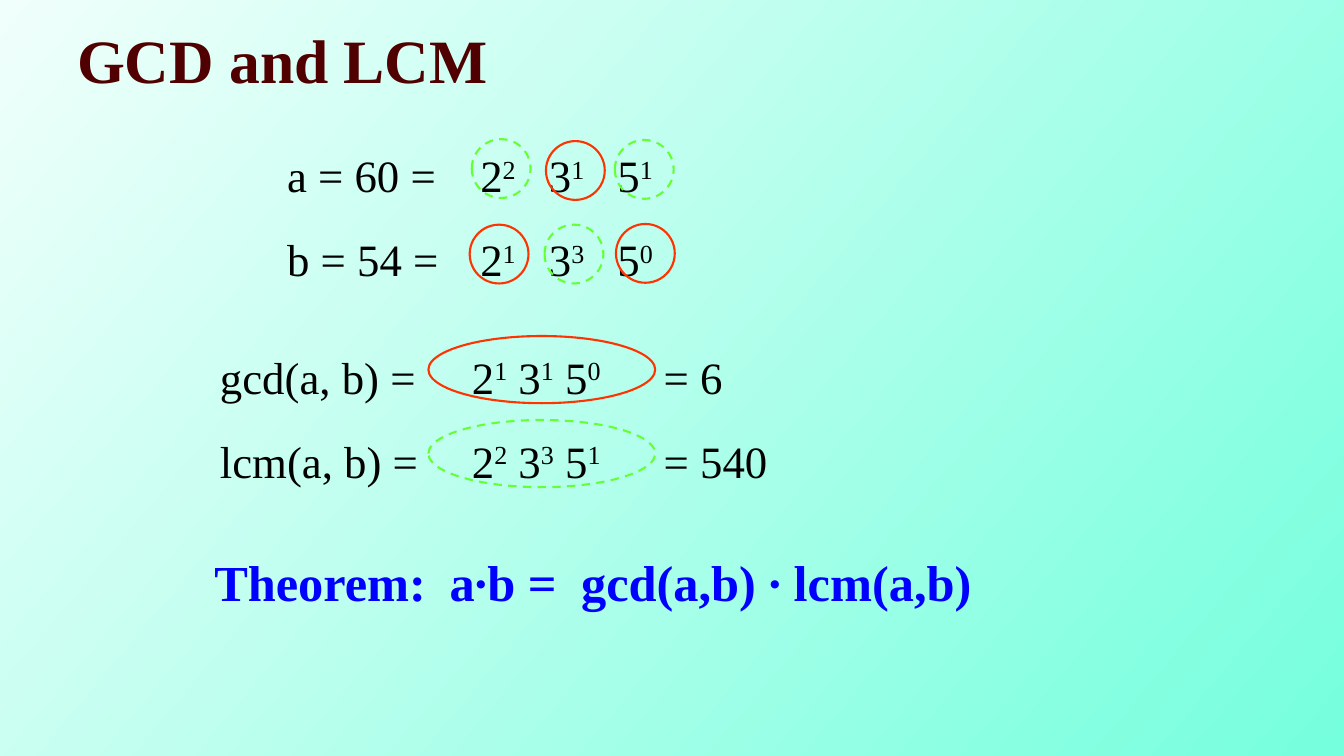
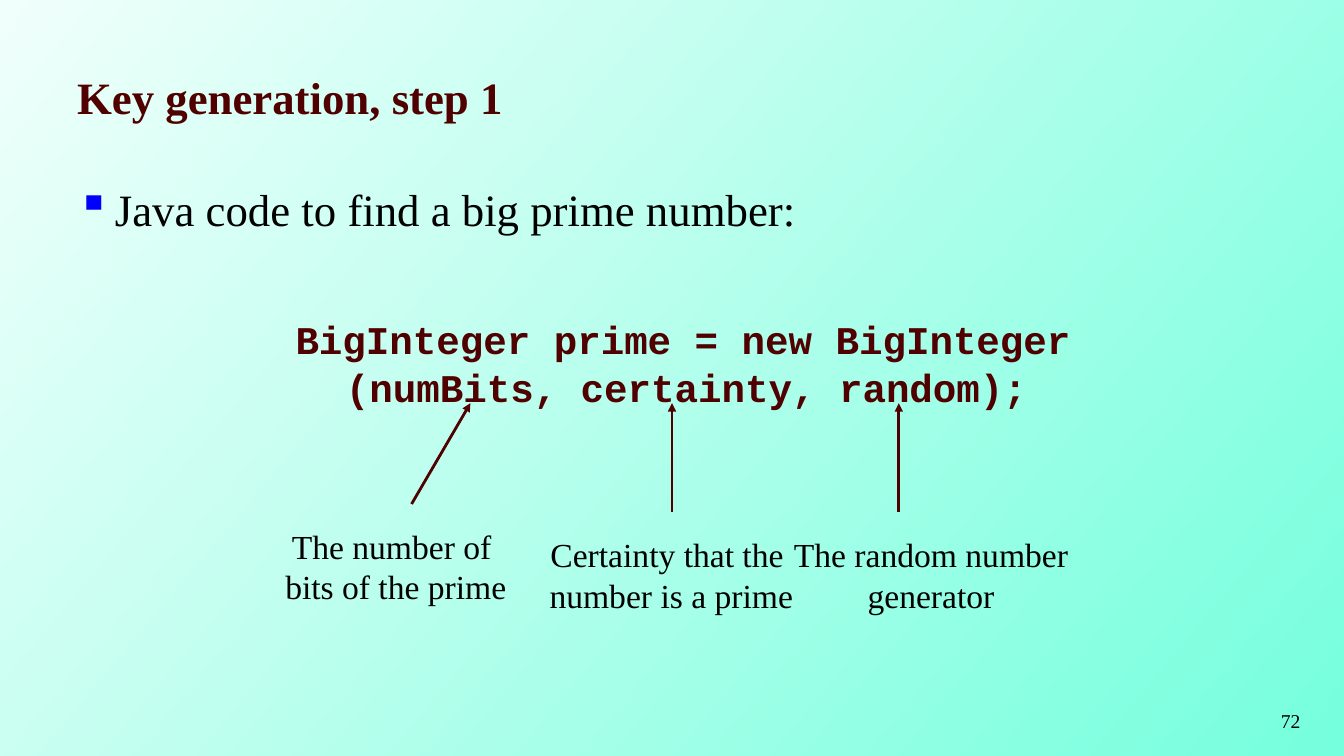
"""Build two slides on greatest common divisors and prime key generation."""
from lxml import etree
from pptx import Presentation
from pptx.dml.color import RGBColor
from pptx.enum.dml import MSO_LINE
from pptx.enum.shapes import MSO_CONNECTOR, MSO_SHAPE
from pptx.enum.text import MSO_ANCHOR, PP_ALIGN
from pptx.oxml.ns import qn
from pptx.util import Pt

OVAL = MSO_SHAPE.OVAL
STRAIGHT = MSO_CONNECTOR.STRAIGHT
DASH = MSO_LINE.DASH
MIDDLE = MSO_ANCHOR.MIDDLE
TOP = MSO_ANCHOR.TOP
LEFT, CENTER, RIGHT = PP_ALIGN.LEFT, PP_ALIGN.CENTER, PP_ALIGN.RIGHT

MAROON = RGBColor(0x50, 0x00, 0x00)
BLACK = RGBColor(0x00, 0x00, 0x00)
BLUE = RGBColor(0x00, 0x00, 0xFF)
RED = RGBColor(0xFF, 0x33, 0x00)
GREEN = RGBColor(0x66, 0xFF, 0x33)
BACKGROUND = (RGBColor(0xF0, 0xFF, 0xFB), RGBColor(0x75, 0xFF, 0xDD))
SERIF = "Times New Roman"
MONO = "Courier New"

FACTOR_TABS = (49, 98)
RESULT_TABS = (137,)
EQUATIONS = [
    (102, 198, "a = 60 =", 336, "2^2\t3^1\t5^1", FACTOR_TABS),
    (162, 198, "b = 54 =", 336, "2^1\t3^3\t5^0", FACTOR_TABS),
    (246, 150, "gcd(a, b) =", 330, "2^1 3^1 5^0\t= 6", RESULT_TABS),
    (306, 150, "lcm(a, b) =", 330, "2^2 3^3 5^1\t= 540", RESULT_TABS),
]
CIRCLE = 42
GCD_CIRCLES = [(335.5, 160.5), (390, 100.8), (440, 160)]
LCM_CIRCLES = [(337, 99.4), (389, 160.5), (439.2, 100)]
RESULT_OVALS = [(240, RED, None), (300, GREEN, DASH)]
THEOREM = [(146, 268, "Theorem:\ta∙b =", (168,)), (408, 318, "gcd(a,b) ∙ lcm(a,b)", ())]

CODE = ["BigInteger prime = new BigInteger", "\t(numBits, certainty, random);"]
ARGUMENTS = [
    (196, 372, 173.5, ["The number of ", "bits of the prime"]),
    (384.5, 378, 190, ["Certainty that the ", "number is a prime"]),
    (559, 378, 212, ["The random number", "generator"]),
]
ARROWS = [((294, 360), (336, 288)), ((480, 366), (480, 288)), ((642, 366), (642, 288))]


def add_text(slide, box, lines, *, size=32, color=BLACK, font=SERIF, bold=False,
             align=LEFT, anchor=TOP, wrap=True, tabs=(), bullet=None):
    """Add a text box; the character after each ^ is raised."""
    frame = slide.shapes.add_textbox(*map(Pt, box)).text_frame
    frame.word_wrap = wrap
    frame.vertical_anchor = anchor
    for index, line in enumerate(lines):
        paragraph = frame.add_paragraph() if index else frame.paragraphs[0]
        paragraph.alignment = align
        properties = paragraph._p.get_or_add_pPr()
        if bullet:
            properties.set("marL", str(Pt(27)))
            properties.set("indent", str(-Pt(27)))
            bullet_color = etree.SubElement(properties, qn("a:buClr"))
            etree.SubElement(bullet_color, qn("a:srgbClr"), val=str(BLUE))
            etree.SubElement(properties, qn("a:buChar"), char=bullet)
        if tabs:
            tab_list = etree.SubElement(properties, qn("a:tabLst"))
            for position in tabs:
                etree.SubElement(tab_list, qn("a:tab"), pos=str(Pt(position)), algn="l")
        first, *raised = line.split("^")
        pieces = [(first, False)]
        for part in raised:
            pieces += [(part[0], True), (part[1:], False)]
        for text, superscript in pieces:
            if not text:
                continue
            run = paragraph.add_run()
            run.text = text
            run.font.name = font
            run.font.size = Pt(size)
            run.font.bold = bold
            run.font.color.rgb = color
            if superscript:
                run.font._element.set("baseline", "30000")


def add_title(slide, box, text, size):
    """Add a slide title."""
    add_text(slide, box, [text], size=size, color=MAROON, bold=True, anchor=MIDDLE)


def add_ring(slide, box, color, dash=None):
    """Add an unfilled ellipse."""
    ring = slide.shapes.add_shape(OVAL, *map(Pt, box))
    ring.shadow.inherit = False
    ring.fill.background()
    ring.line.color.rgb = color
    ring.line.width = Pt(1.5)
    if dash is not None:
        ring.line.dash_style = dash


def add_arrow(slide, start, end):
    """Add a line with an arrowhead at its end."""
    arrow = slide.shapes.add_connector(STRAIGHT, *map(Pt, start + end))
    arrow.line.color.rgb = MAROON
    arrow.line.width = Pt(2)
    etree.SubElement(arrow.line._get_or_add_ln(), qn("a:tailEnd"), type="triangle")
    etree.SubElement(arrow._element.spPr, qn("a:effectLst"))


def set_background(master):
    """Give every slide the diagonal gradient."""
    fill = master.background.fill
    fill.gradient()
    fill.gradient_angle = 320
    for stop, color in zip(fill.gradient_stops, BACKGROUND):
        stop.color.rgb = color


def build_gcd_slide(slide):
    """Show the factors that make up the gcd and the lcm."""
    add_title(slide, (48, 12, 612, 60), "GCD and LCM", 44)
    for top, left, label, value_left, value, tabs in EQUATIONS:
        add_text(slide, (left, top, 156, 46), [label])
        add_text(slide, (value_left, top, 372, 46), [value], tabs=tabs)
    for circles, color, dash in ((GCD_CIRCLES, RED, None), (LCM_CIRCLES, GREEN, DASH)):
        for left, top in circles:
            add_ring(slide, (left, top, CIRCLE, CIRCLE), color, dash)
    for top, color, dash in RESULT_OVALS:
        add_ring(slide, (306, top, 162, 48), color, dash)
    for left, width, text, tabs in THEOREM:
        add_text(slide, (left, 390, width, 51), [text], size=36, color=BLUE,
                 bold=True, tabs=tabs)


def build_key_slide(slide):
    """Show the code for a big prime and explain its arguments."""
    add_text(slide, (712, 502.5, 224, 37.5), ["72"], size=14, align=RIGHT)
    add_title(slide, (48, 24, 864, 90), "Key generation, step 1", 32)
    add_text(slide, (48, 126, 756, 390), ["Java code to find a big prime number:"], bullet="▪")
    add_text(slide, (204, 222, 594, 75), CODE, size=28, color=MAROON, font=MONO,
             bold=True, wrap=False)
    for start, end in ARROWS:
        add_arrow(slide, start, end)
    for left, top, width, lines in ARGUMENTS:
        add_text(slide, (left, top, width, 65.5), lines, size=24, align=CENTER, wrap=False)


def main():
    """Build and save the presentation."""
    presentation = Presentation()
    presentation.slide_width = Pt(960)
    presentation.slide_height = Pt(540)
    set_background(presentation.slide_master)
    for build in (build_gcd_slide, build_key_slide):
        build(presentation.slides.add_slide(presentation.slide_layouts[6]))
    presentation.save("out.pptx")


if __name__ == "__main__":
    main()
